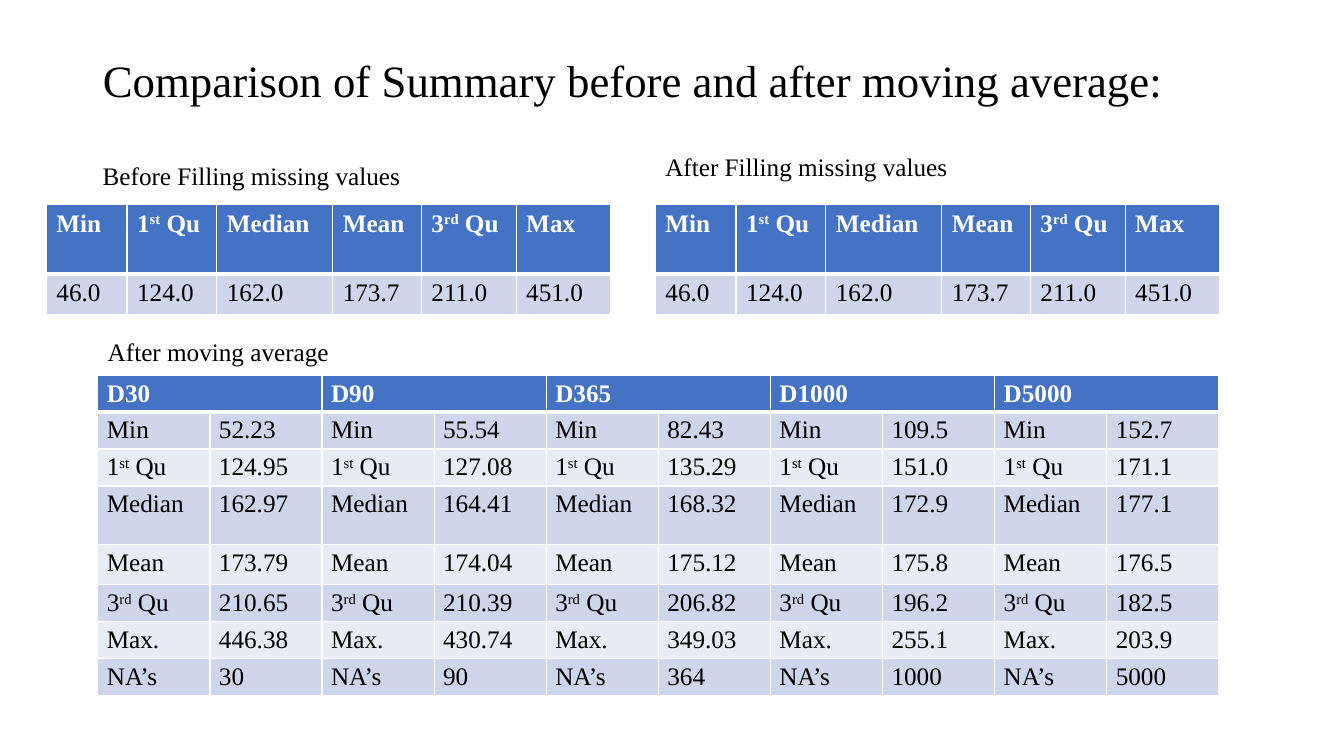
from lxml.etree import SubElement
from pptx import Presentation
from pptx.dml.color import RGBColor
from pptx.enum.text import MSO_ANCHOR, PP_ALIGN
from pptx.oxml.ns import qn
from pptx.util import Inches, Pt

COLORS = {"text": "000000", "white": "FFFFFF", "header": "4472C4",
          "band_dark": "CFD5EA", "band_light": "E9EBF5"}
FONT = "Times New Roman"


def write_text(paragraph, text, size=18, color="text", bold=False):
    """Add runs to the paragraph; parts between ^ marks are superscript."""
    for index, part in enumerate(text.split("^")):
        run = paragraph.add_run()
        run.text = part
        run.font.name = FONT
        run.font.size = Pt(size)
        run.font.bold = bold
        run.font.color.rgb = RGBColor.from_string(COLORS[color])
        if index % 2:
            run._r.get_or_add_rPr().set("baseline", "30000")


def fill_table(table, rows, row_heights, margin_x, margin_y):
    """Write the rows with a bold header, banded fills and white borders."""
    for r, (values, height) in enumerate(zip(rows, row_heights)):
        table.rows[r].height = Inches(height)
        fill = "header" if r == 0 else "band_dark" if r % 2 else "band_light"
        for c, value in enumerate(values):
            cell = table.cell(r, c)
            cell.margin_left = cell.margin_right = Inches(margin_x)
            cell.margin_top = cell.margin_bottom = Inches(margin_y)
            properties = cell._tc.get_or_add_tcPr()
            for side in ("L", "R", "T", "B"):
                below_header = (r, side) in ((0, "B"), (1, "T"))
                line = SubElement(properties, qn(f"a:ln{side}"),
                                  w=str(Pt(3 if below_header else 1)))
                solid = SubElement(line, qn("a:solidFill"))
                SubElement(solid, qn("a:srgbClr"), val=COLORS["white"])
            cell.fill.solid()
            cell.fill.fore_color.rgb = RGBColor.from_string(COLORS[fill])
            if value:
                write_text(cell.text_frame.paragraphs[0], value,
                           color="text" if r else "white", bold=r == 0)


prs = Presentation()
prs.slide_width, prs.slide_height = Inches(13.33), Inches(7.5)
slide = prs.slides.add_slide(prs.slide_layouts[5])

title = slide.shapes.title
title.left, title.top = Inches(0.92), Inches(0.1)
title.width, title.height = Inches(11.5), Inches(1.45)
title.text_frame.vertical_anchor = MSO_ANCHOR.MIDDLE
heading = title.text_frame.paragraphs[0]
heading.alignment = PP_ALIGN.LEFT
heading.line_spacing = 0.9
write_text(heading, "Comparison of Summary before and after moving average:", size=32)

# The summary is the same before and after filling
summary = [
    ["Min", "1^st^ Qu", "Median", "Mean", "3^rd^ Qu", "Max"],
    ["46.0", "124.0", "162.0", "173.7", "211.0", "451.0"],
]
summary_widths = [0.8, 0.89, 1.15, 0.88, 0.94, 0.94]
for left in (0.46, 6.5):
    summary_table = slide.shapes.add_table(
        2, 6, Inches(left), Inches(2.03), Inches(5.6), Inches(1.09)).table
    for column, width in zip(summary_table.columns, summary_widths):
        column.width = Inches(width)
    fill_table(summary_table, summary, [0.69, 0.4], 0.1, 0.05)

# One label column and one value column for each averaging window
windows = ["D30", "D90", "D365", "D1000", "D5000"]
statistics = {
    "Min": ["52.23", "55.54", "82.43", "109.5", "152.7"],
    "1^st^ Qu": ["124.95", "127.08", "135.29", "151.0", "171.1"],
    "Median": ["162.97", "164.41", "168.32", "172.9", "177.1"],
    "Mean": ["173.79", "174.04", "175.12", "175.8", "176.5"],
    "3^rd^ Qu": ["210.65", "210.39", "206.82", "196.2", "182.5"],
    "Max.": ["446.38", "430.74", "349.03", "255.1", "203.9"],
    "NA’s": ["30", "90", "364", "1000", "5000"],
}
averages = [[text for window in windows for text in (window, "")]]
for label, values in statistics.items():
    averages.append([text for value in values for text in (label, value)])

average_table = slide.shapes.add_table(
    len(averages), 2 * len(windows),
    Inches(0.97), Inches(3.72), Inches(11.12), Inches(3.02)).table
for c in range(0, 2 * len(windows), 2):
    average_table.cell(0, c).merge(average_table.cell(0, c + 1))
fill_table(average_table, averages,
           [0.34, 0.34, 0.34, 0.58, 0.4, 0.34, 0.34, 0.34], 0.09, 0.045)

captions = [
    (0.92, 1.54, "Before Filling missing values"),
    (6.5, 1.45, "After Filling missing values"),
    (0.97, 3.29, "After moving average"),
]
for left, top, text in captions:
    caption = slide.shapes.add_textbox(
        Inches(left), Inches(top), Inches(3.31), Inches(0.4))
    caption.text_frame.word_wrap = True
    write_text(caption.text_frame.paragraphs[0], text)

prs.save("out.pptx")
